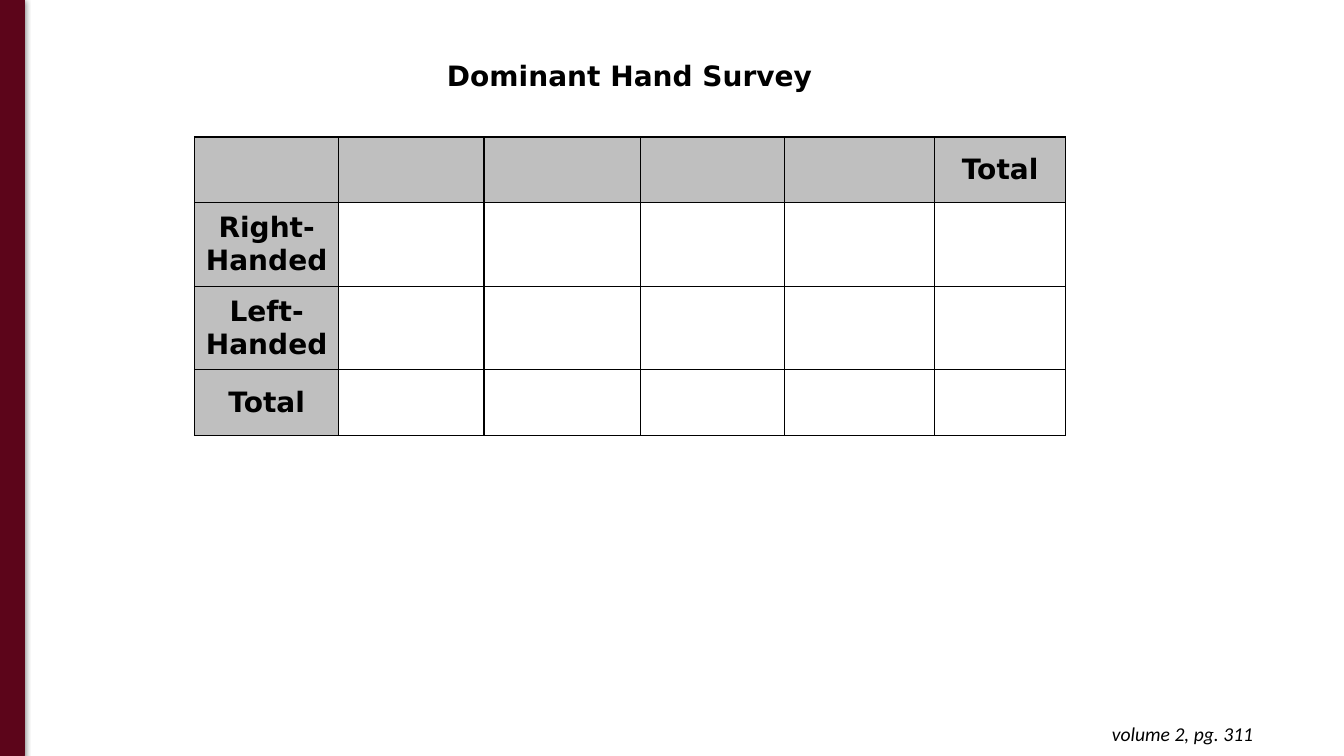
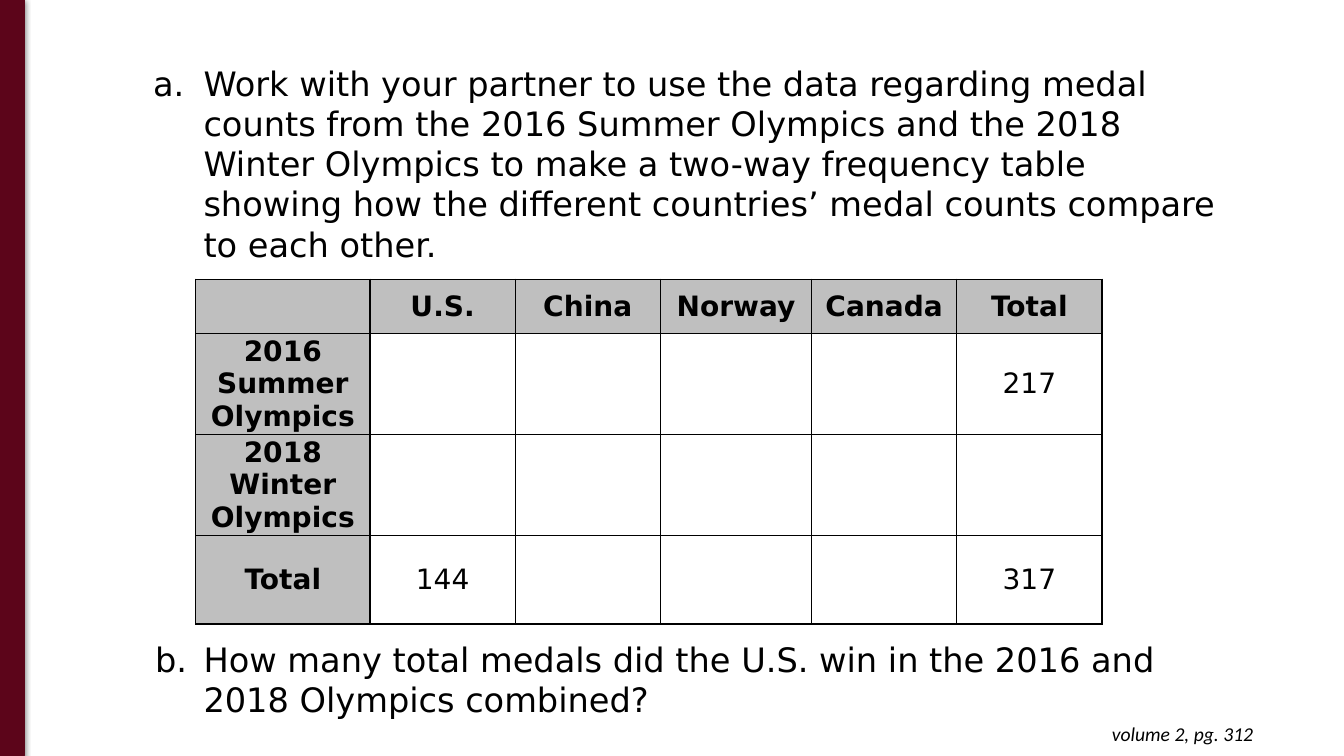
"""Build two slides on two-way frequency tables."""
from dataclasses import dataclass

from lxml import etree
from pptx import Presentation
from pptx import util as u
from pptx.dml.color import RGBColor
from pptx.enum import shapes, text
from pptx.oxml import ns


@dataclass(frozen=True)
class Theme:
    """Colours, fonts and type sizes of the presentation."""
    band: str = "5C051A"
    ink: str = "000000"
    header: str = "BFBFBF"
    paper: str = "FFFFFF"
    body_font: str = "DejaVu Sans"
    footer_font: str = "Calibri"
    question_size: int = 24
    table_size: int = 20
    footer_size: int = 14


THEME = Theme()
SLIDE_WIDTH, SLIDE_HEIGHT = 1333, 750
TITLE_ONLY, BLANK = 5, 6


def px(length):
    """Turn px, a hundredth of an inch each, into EMU."""
    return u.Emu(length * 9144)


def add_xml(parent, tag, **attributes):
    """Append a drawing element and return it."""
    return etree.SubElement(parent, ns.qn(tag), attributes)


def add_solid_fill(parent, colour):
    """Append a solid fill and return its colour element."""
    return add_xml(add_xml(parent, "a:solidFill"), "a:srgbClr", val=colour)


def write(paragraph, words, size, font=THEME.body_font, bold=False,
          italic=False, align=text.PP_ALIGN.LEFT):
    """Add one formatted run to a paragraph."""
    paragraph.alignment = align
    run = paragraph.add_run()
    run.text = words
    run.font.name, run.font.size = font, u.Pt(size)
    run.font.bold, run.font.italic = bold, italic
    run.font.color.rgb = RGBColor.from_string(THEME.ink)


def set_frame(frame, vertical_inset=5):
    """Wrap a text frame from its top and return its first paragraph."""
    frame.word_wrap = True
    frame.auto_size = text.MSO_AUTO_SIZE.SHAPE_TO_FIT_TEXT
    frame.vertical_anchor = text.MSO_ANCHOR.TOP
    frame.margin_left = frame.margin_right = px(10)
    frame.margin_top = frame.margin_bottom = px(vertical_inset)
    return frame.paragraphs[0]


def add_band(slide):
    """Draw the shadowed band along the left edge."""
    band = slide.shapes.add_shape(shapes.MSO_SHAPE.RECTANGLE,
                                  px(0), px(-1), px(24), px(SLIDE_HEIGHT + 1))
    colour = RGBColor.from_string(THEME.band)
    band.fill.solid()
    band.fill.fore_color.rgb = colour
    band.line.color.rgb = colour
    band.line.width = u.Pt(0.75)
    band.shadow.inherit = False
    effects = band._element.spPr.find(ns.qn("a:effectLst"))
    shadow = add_xml(effects, "a:outerShdw", blurRad=str(u.Pt(4.5)),
                     dist=str(u.Pt(1.5)), dir="5400000", rotWithShape="0")
    shadow_colour = add_xml(shadow, "a:srgbClr", val=THEME.ink)
    add_xml(shadow_colour, "a:alpha", val="50000")


def add_page_reference(slide, page):
    """Write the page reference at the lower right."""
    reference = slide.shapes.add_textbox(px(965), px(706), px(288), px(44))
    write(set_frame(reference.text_frame, 10), f"volume 2, pg. {page}",
          THEME.footer_size, THEME.footer_font, italic=True,
          align=text.PP_ALIGN.RIGHT)


def add_page(deck, layout, page):
    """Add a slide with the shared band and page reference."""
    slide = deck.slides.add_slide(deck.slide_layouts[layout])
    add_band(slide)
    add_page_reference(slide, page)
    return slide


def set_title(slide, words):
    """Place and write the slide title."""
    title = slide.shapes.title
    title.left, title.top = px(169), px(53)
    title.width, title.height = px(911), px(44)
    write(set_frame(title.text_frame), words, THEME.table_size, bold=True,
          align=text.PP_ALIGN.CENTER)


def add_question(slide, top, height, number, words, hanging):
    """Add a question with an automatic letter."""
    question = slide.shapes.add_textbox(px(92), px(top), px(1129), px(height))
    paragraph = set_frame(question.text_frame)
    properties = paragraph._p.get_or_add_pPr()
    properties.set("marL", str(px(100)))
    properties.set("indent", str(px(-hanging)))
    add_xml(add_xml(properties, "a:buClr"), "a:srgbClr", val=THEME.ink)
    add_xml(properties, "a:buAutoNum", type="alphaLcPeriod",
            startAt=str(number))
    write(paragraph, words, THEME.question_size)


def set_borders(cell):
    """Rule all four sides of a cell."""
    properties = cell._tc.get_or_add_tcPr()
    for position, side in enumerate(("a:lnL", "a:lnR", "a:lnT", "a:lnB")):
        border = add_xml(properties, side, w=str(u.Pt(1)))
        add_solid_fill(border, THEME.ink)
        properties.insert(position, border)


def fill_cell(cell, words, is_header, inset):
    """Format a cell and write its lines."""
    cell.fill.solid()
    cell.fill.fore_color.rgb = RGBColor.from_string(
        THEME.header if is_header else THEME.paper)
    set_borders(cell)
    cell.vertical_anchor = text.MSO_ANCHOR.MIDDLE
    cell.margin_left = cell.margin_right = px(inset)
    cell.margin_top = cell.margin_bottom = 0
    for position, line in enumerate(words.split("\n") if words else ()):
        frame = cell.text_frame
        paragraph = frame.add_paragraph() if position else frame.paragraphs[0]
        write(paragraph, line, THEME.table_size, bold=is_header,
              align=text.PP_ALIGN.CENTER)


def add_frequency_table(slide, left, top, widths, heights, rows, inset):
    """Add a table whose first row and column are headers."""
    table = slide.shapes.add_table(len(rows), len(widths), px(left), px(top),
                                   px(sum(widths)), px(sum(heights))).table
    table.first_row = table.horz_banding = False
    for column, width in zip(table.columns, widths):
        column.width = px(width)
    for row, height in zip(table.rows, heights):
        row.height = px(height)
    for r, row in enumerate(rows):
        for c, words in enumerate(row):
            fill_cell(table.cell(r, c), words, r == 0 or c == 0, inset)


def build_hand_survey(deck):
    """Build the dominant hand survey slide."""
    slide = add_page(deck, TITLE_ONLY, 311)
    set_title(slide, "Dominant Hand Survey")
    blank = [""] * 5
    rows = [[*blank, "Total"], ["Right-Handed", *blank],
            ["Left-Handed", *blank], ["Total", *blank]]
    add_frequency_table(slide, 193, 136, [143, 144, 155, 143, 149, 130],
                        [65, 83, 83, 65], rows, 6)


def build_medal_counts(deck):
    """Build the Olympic medal counts slide."""
    slide = add_page(deck, BLANK, 312)
    add_question(slide, 57, 212, 1,
                 "Work with your partner to use the data regarding medal "
                 "counts from the 2016 Summer Olympics and the 2018 Winter "
                 "Olympics to make a two-way frequency table showing how the "
                 "different countries’ medal counts compare to each other.",
                 50)
    blank = [""] * 3
    rows = [["", "U.S.", "China", "Norway", "Canada", "Total"],
            ["2016\nSummer Olympics", "", *blank, "217"],
            ["2018\nWinter Olympics", "", *blank, ""],
            ["Total", "144", *blank, "317"]]
    add_frequency_table(slide, 194, 277, [173, 144, 144, 150, 144, 144],
                        [54, 100, 100, 88], rows, 7)
    add_question(slide, 629, 91, 2,
                 "How many total medals did the U.S. win in the 2016 and "
                 "2018 Olympics combined?", 48)


def main():
    """Build and save the presentation."""
    deck = Presentation()
    deck.slide_width, deck.slide_height = px(SLIDE_WIDTH), px(SLIDE_HEIGHT)
    build_hand_survey(deck)
    build_medal_counts(deck)
    deck.save("out.pptx")


if __name__ == "__main__":
    main()
